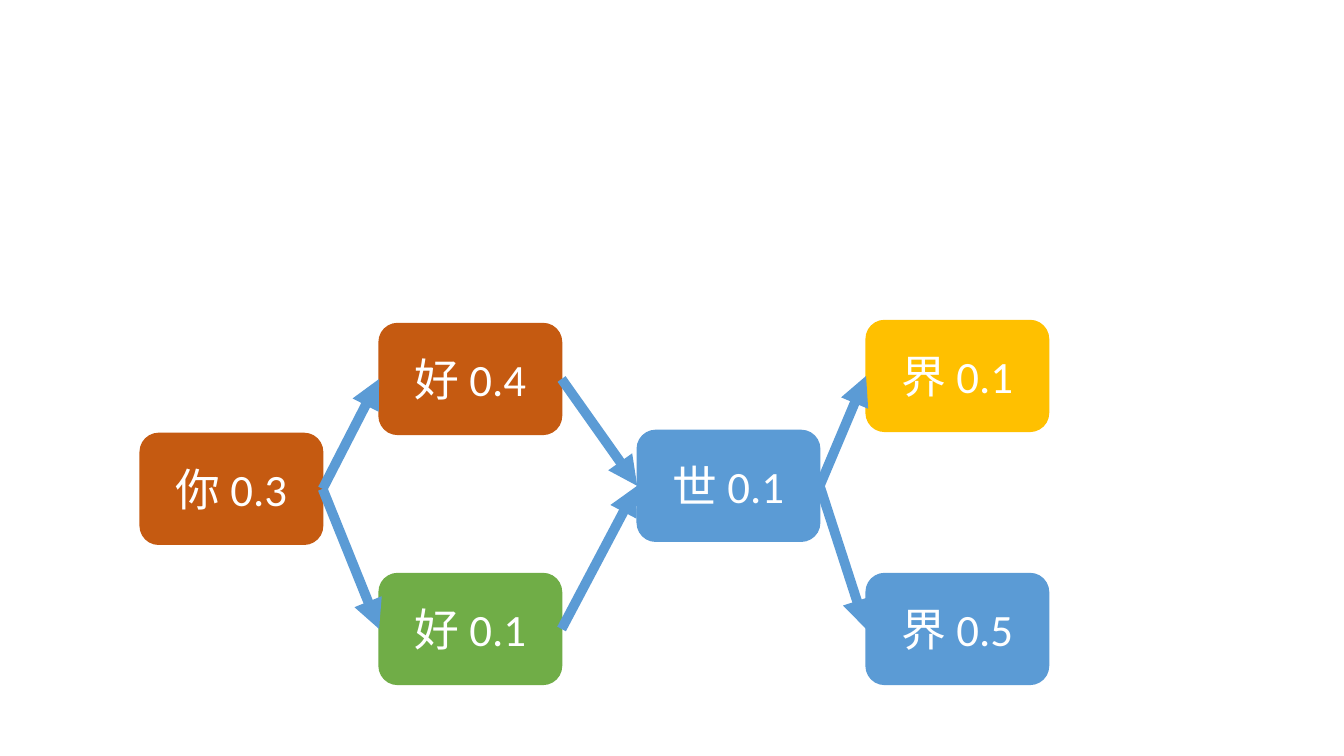
from lxml.etree import SubElement as Sub
from pptx import Presentation
from pptx.dml.color import RGBColor as RGB
from pptx.enum.shapes import MSO_CONNECTOR as Link, MSO_SHAPE as Shape
from pptx.enum.text import MSO_ANCHOR as Anchor, PP_ALIGN as Align
from pptx.oxml.ns import qn
from pptx.util import Inches, Pt

WHITE = RGB(0xFF, 0xFF, 0xFF)
RUST = RGB(0xC5, 0x5A, 0x11)
BLUE = RGB(0x5B, 0x9B, 0xD5)
GOLD = RGB(0xFF, 0xC0, 0x00)
GREEN = RGB(0x70, 0xAD, 0x47)

WIDTH, HEIGHT = 1.81, 1.1
LEFT, RIGHT = 1, 3

NODES = {
    "start": (0, 1.12, "你 0.3", RUST),
    "high": (2.37, 0.03, "好 0.4", RUST),
    "mid": (4.93, 1.09, "世 0.1", BLUE),
    "top": (7.2, 0, "界 0.1", GOLD),
    "low": (2.37, 2.51, "好 0.1", GREEN),
    "end": (7.2, 2.51, "界 0.5", BLUE),
}
EDGES = [
    ("start", "high"),
    ("high", "mid"),
    ("start", "low"),
    ("low", "mid"),
    ("mid", "top"),
    ("mid", "end"),
]


def add_node(slide, x, y, text, color):
    node = slide.shapes.add_shape(
        Shape.FLOWCHART_ALTERNATE_PROCESS,
        Inches(x), Inches(y), Inches(WIDTH), Inches(HEIGHT))
    node.shadow.inherit = False
    node.fill.solid()
    node.fill.fore_color.rgb = color
    node.line.color.rgb = color
    node.line.width = Pt(1)
    frame = node.text_frame
    frame.word_wrap = True
    frame.vertical_anchor = Anchor.MIDDLE
    para = frame.paragraphs[0]
    para.alignment = Align.CENTER
    run = para.add_run()
    run.text = text
    run.font.name = "Calibri"
    run.font.size = Pt(32)
    run.font.color.rgb = WHITE
    return node


def add_arrow(slide, tail, head):
    arrow = slide.shapes.add_connector(Link.STRAIGHT, 0, 0, 0, 0)
    arrow.begin_connect(tail, RIGHT)
    arrow.end_connect(head, LEFT)
    arrow.line.color.rgb = BLUE
    arrow.line.width = Pt(7)
    Sub(arrow.line._get_or_add_ln(), qn("a:tailEnd"), type="triangle")
    Sub(arrow._element.spPr, qn("a:effectLst"))


def add_graph(slide, left, top):
    nodes = {
        name: add_node(slide, left + x, top + y, text, color)
        for name, (x, y, text, color) in NODES.items()
    }
    for tail, head in EDGES:
        add_arrow(slide, nodes[tail], nodes[head])


def main():
    deck = Presentation()
    deck.slide_width = Inches(13.33)
    deck.slide_height = Inches(7.5)
    slide = deck.slides.add_slide(deck.slide_layouts[6])
    add_graph(slide, 1.39, 3.18)
    deck.save("out.pptx")


if __name__ == "__main__":
    main()
